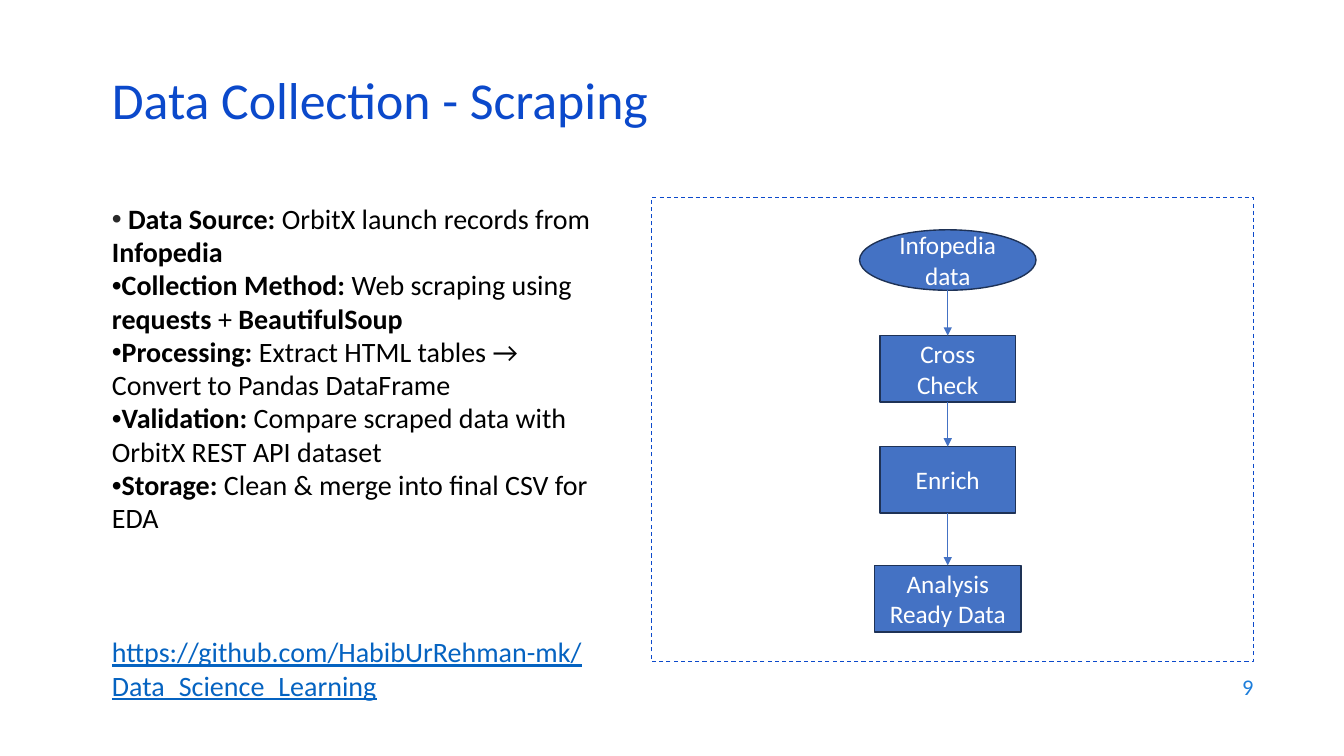
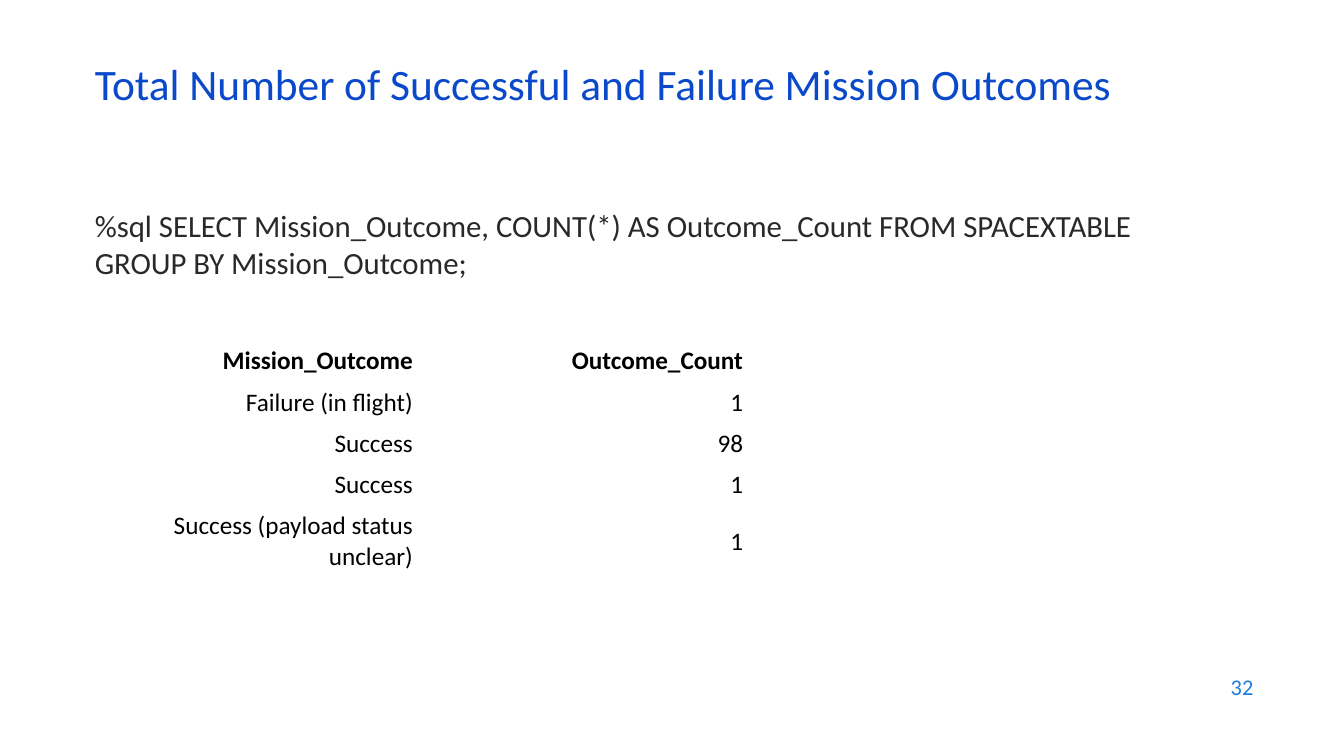
from dataclasses import dataclass

from lxml.etree import SubElement
from pptx import Presentation
from pptx.dml.color import RGBColor as Rgb
from pptx.enum.dml import MSO_LINE as Dash
from pptx.enum.shapes import MSO_CONNECTOR as Connector, MSO_SHAPE as Shape
from pptx.enum.text import MSO_ANCHOR as Anchor, MSO_AUTO_SIZE as AutoSize, PP_ALIGN as Align
from pptx.oxml.ns import qn
from pptx.util import Inches, Pt


@dataclass(frozen=True)
class Theme:
    """Colours, font and type sizes shared by all slides."""
    font: str = "Calibri"
    title: str = "0B49CB"
    number: str = "1C7DDB"
    body: str = "292929"
    strong: str = "000000"
    link: str = "0563C1"
    step: str = "4472C4"
    step_edge: str = "1E3256"
    paper: str = "FFFFFF"
    number_size: int = 16
    label_size: int = 18
    list_size: int = 20
    query_size: int = 22


@dataclass(frozen=True)
class Box:
    """A rectangle measured in inches."""
    left: float
    top: float
    width: float
    height: float

    def lengths(self):
        """Return left, top, width and height as lengths."""
        return [Inches(side) for side in (self.left, self.top, self.width, self.height)]


THEME = Theme()
NUMBER_BOX = Box(9.53, 6.59, 3, 0.44)
TITLE_WIDTH, TITLE_HEIGHT = 11.5, 0.6

FINDINGS = [
    [(" ", False), ("Data Source:", True), (" OrbitX launch records from ", False), ("Infopedia", True)],
    [("Collection Method:", True), (" Web scraping using ", False), ("requests", True),
     (" + ", False), ("BeautifulSoup", True)],
    [("Processing:", True), (" Extract HTML tables → Convert to Pandas DataFrame", False)],
    [("Validation:", True), (" Compare scraped data with OrbitX REST API dataset", False)],
    [("Storage:", True), (" Clean & merge into final CSV for EDA", False)],
]
REPOSITORY = "https://github.com/HabibUrRehman-mk/Data_Science_Learning"
STEPS = [
    ("Infopedia data", Shape.OVAL, 0.32, 1.75, 0.6),
    ("Cross Check", Shape.RECTANGLE, 1.37, 1.34, 0.66),
    ("Enrich", Shape.RECTANGLE, 2.47, 1.34, 0.66),
    ("Analysis Ready Data", Shape.RECTANGLE, 3.65, 1.45, 0.66),
]
QUERY = ("%sql SELECT Mission_Outcome, COUNT(*) AS Outcome_Count "
         "FROM SPACEXTABLE GROUP BY Mission_Outcome;")
OUTCOMES = [
    ("Mission_Outcome", "Outcome_Count"),
    ("Failure (in flight)", "1"),
    ("Success", "98"),
    ("Success", "1"),
    ("Success (payload status unclear)", "1"),
]


def assign(target, **values):
    """Set every given format value on the target."""
    for name, value in values.items():
        setattr(target, name, value)


def add_span(para, text, size, color, **values):
    """Add a formatted run to a paragraph."""
    span = para.add_run()
    span.text = text
    assign(span.font, name=THEME.font, size=Pt(size), **values)
    span.font.color.rgb = Rgb.from_string(color)


def place(shape, box):
    """Move a shape into a box."""
    for name, value in zip(("left", "top", "width", "height"), box.lengths()):
        setattr(shape, name, value)


def set_bullet(para, mark=None):
    """Remove the indent and set or clear the bullet."""
    props = para._p.get_or_add_pPr()
    props.set("marL", "0")
    props.set("indent", "0")
    if mark:
        SubElement(props, qn("a:buChar"), char=mark)
    else:
        SubElement(props, qn("a:buNone"))


def add_page(deck, title, size, left, top, number):
    """Add a slide with its title and page number."""
    page = deck.slides.add_slide(deck.slide_layouts[1])
    heading = page.shapes.title
    place(heading, Box(left, top, TITLE_WIDTH, TITLE_HEIGHT))
    assign(heading.text_frame, auto_size=AutoSize.NONE, word_wrap=True, vertical_anchor=Anchor.MIDDLE)
    para = heading.text_frame.paragraphs[0]
    assign(para, alignment=Align.LEFT, line_spacing=0.7)
    add_span(para, title, size, THEME.title)

    frame = page.shapes.add_textbox(*NUMBER_BOX.lengths()).text_frame
    assign(frame, word_wrap=True, vertical_anchor=Anchor.MIDDLE)
    frame.paragraphs[0].alignment = Align.RIGHT
    add_span(frame.paragraphs[0], str(number), THEME.number_size, THEME.number)
    return page


def open_body(page, box):
    """Place the body placeholder and return its text frame."""
    body = page.placeholders[1]
    place(body, box)
    assign(body.text_frame, auto_size=AutoSize.NONE, word_wrap=True, vertical_anchor=Anchor.TOP)
    return body.text_frame


def add_findings(page, box):
    """Fill the body with the bulleted findings and the repository address."""
    frame = open_body(page, box)
    for index, parts in enumerate(FINDINGS):
        para = frame.add_paragraph() if index else frame.paragraphs[0]
        set_bullet(para, "•")
        assign(para, space_before=Pt(0), line_spacing=0.99)
        for text, bold in parts:
            color = THEME.strong if text.strip() else THEME.body
            add_span(para, text, THEME.list_size, color, bold=bold)
    para = frame.add_paragraph()
    set_bullet(para)
    assign(para, space_before=Pt(72), line_spacing=0.99)
    add_span(para, REPOSITORY, THEME.list_size, THEME.link, underline=True)


def add_step(page, text, kind, box):
    """Add one labelled step of the flow."""
    step = page.shapes.add_shape(kind, *box.lengths())
    step.shadow.inherit = False
    step.fill.solid()
    step.fill.fore_color.rgb = Rgb.from_string(THEME.step)
    step.line.color.rgb = Rgb.from_string(THEME.step_edge)
    step.line.width = Pt(1)
    assign(step.text_frame, word_wrap=True, vertical_anchor=Anchor.MIDDLE)
    para = step.text_frame.paragraphs[0]
    para.alignment = Align.CENTER
    add_span(para, text, THEME.label_size, THEME.paper)
    return step


def add_arrow(page, upper, lower, joined):
    """Draw an arrow from the bottom of one step to the top of the next."""
    center = lower.left + lower.width // 2
    arrow = page.shapes.add_connector(
        Connector.STRAIGHT, center, upper.top + upper.height, center, lower.top)
    if joined:
        arrow.begin_connect(upper, 2)
    arrow.end_connect(lower, 0)
    arrow.line.color.rgb = Rgb.from_string(THEME.step)
    arrow.line.width = Pt(0.5)
    SubElement(arrow.line._get_or_add_ln(), qn("a:tailEnd"), type="triangle")
    SubElement(arrow._element.spPr, qn("a:effectLst"))


def add_flow(page, box):
    """Draw the dashed panel and its column of steps."""
    panel = page.shapes.add_shape(Shape.RECTANGLE, *box.lengths())
    panel.shadow.inherit = False
    panel.fill.background()
    panel.line.color.rgb = Rgb.from_string(THEME.title)
    assign(panel.line, width=Pt(0.75), dash_style=Dash.DASH)
    center = box.left + 2.94
    previous = None
    for text, kind, offset, width, height in STEPS:
        step = add_step(page, text, kind, Box(center - width / 2, box.top + offset, width, height))
        if previous is not None:
            add_arrow(page, previous, step, previous.auto_shape_type == Shape.RECTANGLE)
        previous = step


def add_query(page, box):
    """Fill the body with the query."""
    para = open_body(page, box).paragraphs[0]
    set_bullet(para)
    para.space_before = Pt(0)
    add_span(para, QUERY, THEME.query_size, THEME.body)


def add_outcomes(page, box):
    """Add the table of mission outcomes."""
    table = page.shapes.add_table(len(OUTCOMES), len(OUTCOMES[0]), *box.lengths()).table
    assign(table, first_row=False, horz_banding=False)
    for row, values in zip(table.rows, OUTCOMES):
        row.height = Inches(0.71 if values == OUTCOMES[-1] else 0.41)
        for cell, text in zip(row.cells, values):
            cell.vertical_anchor = Anchor.MIDDLE
            cell.fill.solid()
            cell.fill.fore_color.rgb = Rgb.from_string(THEME.paper)
            para = cell.text_frame.paragraphs[0]
            para.alignment = Align.RIGHT
            add_span(para, text, THEME.label_size, THEME.strong, bold=values == OUTCOMES[0])


def main():
    """Build the deck and save it."""
    deck = Presentation()
    assign(deck, slide_width=Inches(13.33), slide_height=Inches(7.5))

    page = add_page(deck, "Data Collection - Scraping", 37, 1.01, 0.76, 9)
    add_findings(page, Box(1.01, 1.96, 5.14, 4.63))
    add_flow(page, Box(6.46, 1.96, 5.97, 4.6))

    page = add_page(deck, "Total Number of Successful and Failure Mission Outcomes", 31, 0.84, 0.59, 32)
    add_query(page, Box(0.84, 2, 10.66, 4.76))
    add_outcomes(page, Box(0.92, 3.38, 6.55, 2.3))
    deck.save("out.pptx")


if __name__ == "__main__":
    main()
